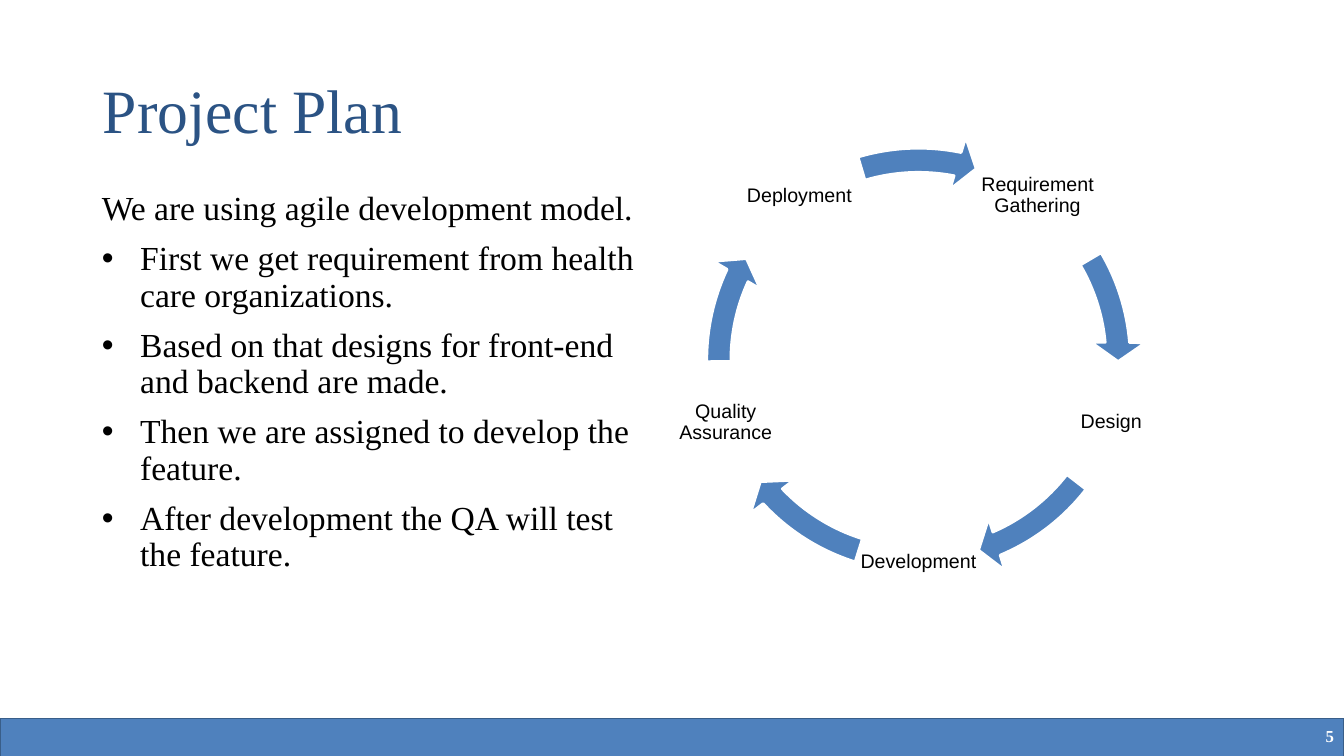
import math
from dataclasses import dataclass

import pptx
import pptx.dml.color
import pptx.enum.shapes
import pptx.enum.text
import pptx.oxml
import pptx.oxml.ns
import pptx.util
from pptx.util import Inches


@dataclass(frozen=True)
class Theme:
    serif: str = "Times New Roman"
    sans: str = "Arial"
    title: str = "2B5384"
    text: str = "000000"
    accent: str = "4F81BD"
    accent_edge: str = "395E89"
    white: str = "FFFFFF"
    title_size: int = 44
    body_size: int = 24
    stage_size: int = 14
    number_size: int = 12


THEME = Theme()
ANCHOR = pptx.enum.text.MSO_ANCHOR
ALIGN = pptx.enum.text.PP_ALIGN


def style(paragraph, family, size, color, align, spacing=0.9, bold=False):
    paragraph.alignment = align
    paragraph.line_spacing = spacing
    paragraph.font.name = family
    paragraph.font.size = pptx.util.Pt(size)
    paragraph.font.bold = bold
    paragraph.font.color.rgb = pptx.dml.color.RGBColor.from_string(color)


def paint(shape, edge, width):
    shape.shadow.inherit = False
    shape.fill.solid()
    shape.fill.fore_color.rgb = pptx.dml.color.RGBColor.from_string(THEME.accent)
    shape.line.color.rgb = pptx.dml.color.RGBColor.from_string(edge)
    shape.line.width = pptx.util.Pt(width)


deck = pptx.Presentation()
deck.slide_width, deck.slide_height = Inches(13.33), Inches(7.5)
slide = deck.slides.add_slide(deck.slide_layouts[1])
shapes = slide.shapes

# Footer bar and page number
footer = shapes.add_shape(pptx.enum.shapes.MSO_SHAPE.RECTANGLE,
                          0, Inches(7.13), Inches(13.33), Inches(0.38))
paint(footer, THEME.accent_edge, 1)

page_number = shapes.add_textbox(Inches(10.33), Inches(7.1), Inches(3), Inches(0.4))
page_number.text_frame.word_wrap = True
page_number.text_frame.vertical_anchor = ANCHOR.MIDDLE
page_number.text_frame.text = "5"
style(page_number.text_frame.paragraphs[0], THEME.serif, THEME.number_size,
      THEME.white, ALIGN.RIGHT, spacing=1.0, bold=True)

# Title
title = shapes.title
title.left, title.top, title.width, title.height = map(Inches, (0.92, 0.4, 11.5, 1.45))
title.text_frame.text = "Project Plan"
title.text_frame.vertical_anchor = ANCHOR.MIDDLE
title.text_frame.auto_size = pptx.enum.text.MSO_AUTO_SIZE.NONE
style(title.text_frame.paragraphs[0], THEME.serif, THEME.title_size, THEME.title, ALIGN.LEFT)

# Introduction and bulleted steps
PLAN = [
    "We are using agile development model.",
    "First we get requirement from health care organizations.",
    "Based on that designs for front-end and backend are made.",
    "Then we are assigned to develop the feature.",
    "After development the QA will test the feature.",
]
plan = slide.placeholders[1]
plan.left, plan.top, plan.width, plan.height = map(Inches, (0.79, 1.85, 5.67, 4.76))
plan.text_frame.text = "\n".join(PLAN)
plan.text_frame.auto_size = pptx.enum.text.MSO_AUTO_SIZE.NONE
for index, step in enumerate(plan.text_frame.paragraphs):
    style(step, THEME.serif, THEME.body_size, THEME.text, ALIGN.LEFT)
    step.space_before = pptx.util.Pt(10)
    margin, indent = (0.5, -0.38) if index else (0.12, 0)
    properties = step._p.get_or_add_pPr()
    properties.set("marL", str(Inches(margin)))
    properties.set("indent", str(Inches(indent)))
    namespace = pptx.oxml.ns.nsdecls("a")
    bullets = ([f'<a:buFont {namespace} typeface="Arial"/>', f'<a:buChar {namespace} char="•"/>']
               if index else [f"<a:buNone {namespace}/>"])
    for bullet in bullets:
        properties.insert_element_before(pptx.oxml.parse_xml(bullet), "a:tabLst", "a:defRPr")

# Development cycle: stages every 72 degrees, each followed by a curved arrow
CENTER_X, CENTER_Y = 9.11, 3.57
STAGE_RADIUS, STAGE_SIZE = 2.01, 1.2
OUTER, MIDDLE, INNER = 2.1, 1.98, 1.86
HEAD_LENGTH, HEAD_HALF = 0.19, 0.27
FRAME_LEFT, FRAME_TOP, FRAME_SIZE = 6.86, 1.32, 4.52
# Stage name, then the start and tip angles of the arrow that leaves it
CYCLE = [
    ("Requirement Gathering", -30.4, 0.5),
    ("Design", 37.7, 72.5),
    ("Development", 107.4, 142.4),
    ("Quality Assurance", 179.5, 210.5),
    ("Deployment", 253.4, 286.8),
]
for index, (stage, start, tip) in enumerate(CYCLE):
    angle = math.radians(-54 + 72 * index)
    label = shapes.add_textbox(
        Inches(CENTER_X + STAGE_RADIUS * math.cos(angle) - STAGE_SIZE / 2),
        Inches(CENTER_Y + STAGE_RADIUS * math.sin(angle) - STAGE_SIZE / 2),
        Inches(STAGE_SIZE), Inches(STAGE_SIZE))
    frame = label.text_frame
    frame.word_wrap = True
    frame.vertical_anchor = ANCHOR.MIDDLE
    frame.margin_left = frame.margin_right = Inches(0.02)
    frame.margin_top = frame.margin_bottom = Inches(0.02)
    frame.text = stage
    style(frame.paragraphs[0], THEME.sans, THEME.stage_size, THEME.text, ALIGN.CENTER)

    # Polar outline: each arc is a start, two Bézier handles and an end
    arcs = []
    for radius in (OUTER, INNER):
        neck = tip - math.degrees(math.asin(HEAD_LENGTH / radius))
        pull = 4 / 3 * math.tan(math.radians(neck - start) / 4)
        reach, turn = radius * math.hypot(1, pull), math.degrees(math.atan(pull))
        arcs.append([(radius, start), (reach, start + turn), (reach, neck - turn), (radius, neck)])
    wings = [(math.hypot(r, HEAD_LENGTH), tip - math.degrees(math.atan2(HEAD_LENGTH, r)))
             for r in (MIDDLE + HEAD_HALF, MIDDLE - HEAD_HALF)]
    outline = arcs[0] + [wings[0], (MIDDLE, tip), wings[1]] + arcs[1][::-1]
    points = [(Inches(CENTER_X + r * math.cos(math.radians(a))),
               Inches(CENTER_Y + r * math.sin(math.radians(a)))) for r, a in outline]

    # Two opposite corners give every arrow the frame of the whole cycle
    builder = shapes.build_freeform(Inches(FRAME_LEFT), Inches(FRAME_TOP))
    builder.move_to(Inches(FRAME_LEFT + FRAME_SIZE), Inches(FRAME_TOP + FRAME_SIZE))
    builder.move_to(*points[0])
    builder.add_line_segments(points[1:], close=True)
    arrow = builder.convert_to_shape()
    paint(arrow, THEME.white, 2)

    outline_xml = arrow._element.find(".//" + pptx.oxml.ns.qn("a:path"))
    for corner in outline_xml.findall(pptx.oxml.ns.qn("a:moveTo"))[:2]:
        outline_xml.remove(corner)
    segments = outline_xml.findall(pptx.oxml.ns.qn("a:lnTo"))
    for arc in (segments[:3], segments[-3:]):
        curve = pptx.oxml.parse_xml(f"<a:cubicBezTo {namespace}/>")
        arc[0].addprevious(curve)
        for segment in arc:
            curve.append(segment[0])
            outline_xml.remove(segment)

deck.save("out.pptx")
